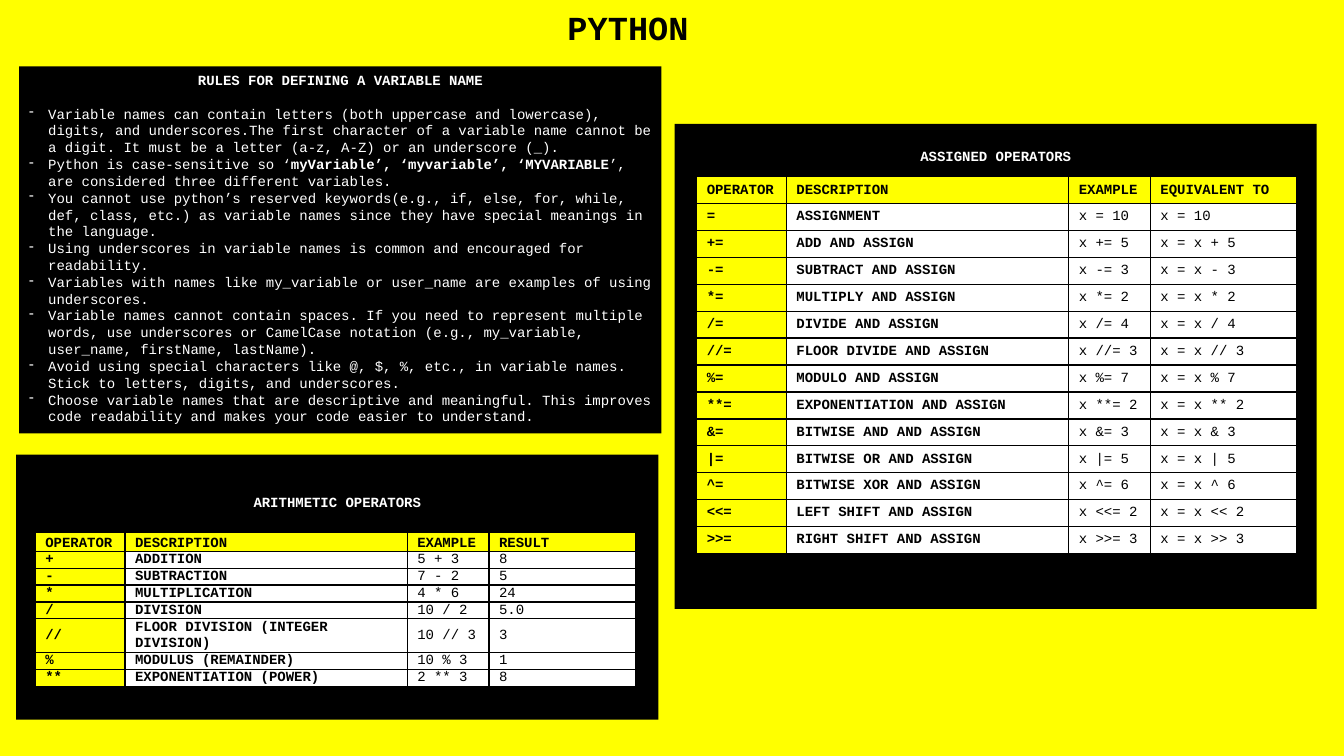
from dataclasses import dataclass

from lxml.etree import SubElement
from pptx import Presentation
from pptx.dml.color import RGBColor
from pptx.enum.shapes import MSO_SHAPE
from pptx.enum.text import MSO_ANCHOR, PP_ALIGN
from pptx.oxml.ns import qn
from pptx.shapes.autoshape import Shape
from pptx.slide import Slide
from pptx.table import _Cell as Cell
from pptx.text.text import _Paragraph as Paragraph
from pptx.util import Inches, Pt

YELLOW = RGBColor(0xFF, 0xFF, 0x00)
BLACK = RGBColor(0x00, 0x00, 0x00)
WHITE = RGBColor(0xFF, 0xFF, 0xFF)
FONT = "Courier New"
BODY_SIZE = 10
PANEL_WIDTH = 6.37
COLUMN_WIDTHS = (0.89, 2.8, 0.81, 1.45)
HEADER = ("OPERATOR", "DESCRIPTION", "EXAMPLE")


@dataclass(frozen=True)
class Panel:
    """A black box with a centred heading."""
    heading: str
    left: float
    top: float
    height: float
    inset_top: float


@dataclass(frozen=True)
class OperatorTable:
    """A table of operators, with its last column's title."""
    left: float
    top: float
    row_height: float
    margin: float
    last_title: str
    rows: tuple[tuple[str, str, str, str], ...]


RULES_PANEL = Panel("RULES FOR DEFINING A VARIABLE NAME", 0.19, 0.66, 3.64, 0.05)
ARITHMETIC_PANEL = Panel("ARITHMETIC OPERATORS", 0.16, 4.51, 2.63, 0.39)
ASSIGNED_PANEL = Panel("ASSIGNED OPERATORS", 6.69, 1.23, 4.81, 0.23)

RULES = (
    ("Variable names can contain letters (both uppercase and lowercase), digits, and "
     "underscores.The first character of a variable name cannot be a digit. It must be "
     "a letter (a-z, A-Z) or an underscore (_).",),
    ("Python is case-sensitive so ‘", "myVariable’, ‘myvariable’, ‘MYVARIABLE",
     "’, are considered three different variables."),
    ("You cannot use python’s reserved keywords(e.g., if, else, for, while, def, class, "
     "etc.) as variable names since they have special meanings in the language.",),
    ("Using underscores in variable names is common and encouraged for readability.",),
    ("Variables with names like my_variable or user_name are examples of using "
     "underscores.",),
    ("Variable names cannot contain spaces. If you need to represent multiple words, use "
     "underscores or CamelCase notation (e.g., my_variable, user_name, firstName, "
     "lastName).",),
    ("Avoid using special characters like @, $, %, etc., in variable names. Stick to "
     "letters, digits, and underscores.",),
    ("Choose variable names that are descriptive and meaningful. This improves code "
     "readability and makes your code easier to understand.",),
)

ARITHMETIC_TABLE = OperatorTable(0.35, 5.28, 0.16, 0, "RESULT", (
    ("+", "ADDITION", "5 + 3", "8"),
    ("-", "SUBTRACTION", "7 - 2", "5"),
    ("*", "MULTIPLICATION", "4 * 6", "24"),
    ("/", "DIVISION", "10 / 2", "5.0"),
    ("//", "FLOOR DIVISION (INTEGER DIVISION)", "10 // 3", "3"),
    ("%", "MODULUS (REMAINDER)", "10 % 3", "1"),
    ("**", "EXPONENTIATION (POWER)", "2 ** 3", "8"),
))

ASSIGNMENTS = (
    ("+", "ADD", 5), ("-", "SUBTRACT", 3), ("*", "MULTIPLY", 2), ("/", "DIVIDE", 4),
    ("//", "FLOOR DIVIDE", 3), ("%", "MODULO", 7), ("**", "EXPONENTIATION", 2),
    ("&", "BITWISE AND", 3), ("|", "BITWISE OR", 5), ("^", "BITWISE XOR", 6),
    ("<<", "LEFT SHIFT", 2), (">>", "RIGHT SHIFT", 3),
)
ASSIGNED_TABLE = OperatorTable(6.91, 1.75, 0.26, 0.05, "EQUIVALENT TO", (
    ("=", "ASSIGNMENT", "x = 10", "x = 10"),
    *((f"{sign}=", f"{name} AND ASSIGN", f"x {sign}= {value}", f"x = x {sign} {value}")
      for sign, name, value in ASSIGNMENTS),
))


def style_font(paragraph: Paragraph, color: RGBColor, bold: bool, size: int = BODY_SIZE) -> None:
    """Set the font of a whole paragraph."""
    font = paragraph.font
    font.name, font.size, font.bold = FONT, Pt(size), bold
    font.color.rgb = color


def add_title(slide: Slide) -> None:
    """Add the slide title."""
    box = slide.shapes.add_textbox(Inches(5.53), Inches(0.02), Inches(1.51), Inches(0.91))
    box.text_frame.word_wrap = True
    paragraph = box.text_frame.paragraphs[0]
    paragraph.text = "PYTHON"
    style_font(paragraph, BLACK, True, 24)


def add_panel(slide: Slide, panel: Panel) -> Shape:
    """Add a black panel with its heading."""
    shape = slide.shapes.add_shape(
        MSO_SHAPE.RECTANGLE, Inches(panel.left), Inches(panel.top),
        Inches(PANEL_WIDTH), Inches(panel.height))
    shape.shadow.inherit = False
    shape.fill.solid()
    shape.fill.fore_color.rgb = BLACK
    shape.line.fill.background()
    frame = shape.text_frame
    frame.word_wrap = True
    frame.vertical_anchor = MSO_ANCHOR.TOP
    frame.margin_top = Inches(panel.inset_top)
    paragraph = frame.paragraphs[0]
    paragraph.text = panel.heading
    paragraph.alignment = PP_ALIGN.CENTER
    style_font(paragraph, WHITE, True)
    return shape


def add_rules(shape: Shape) -> None:
    """List the naming rules below the panel heading."""
    frame = shape.text_frame
    frame.paragraphs[0].space_after = Pt(12)
    for rule in RULES:
        paragraph = frame.add_paragraph()
        paragraph.alignment = PP_ALIGN.LEFT
        properties = paragraph._p.get_or_add_pPr()
        properties.set("marL", str(Inches(0.19)))
        properties.set("indent", str(-Inches(0.19)))
        SubElement(properties, qn("a:buChar")).set("char", "-")
        style_font(paragraph, WHITE, False)
        for index, text in enumerate(rule):
            run = paragraph.add_run()
            run.text = text
            if index == 1:
                run.font.bold = True


def add_borders(cell: Cell) -> None:
    """Draw a thin black border on all sides of a cell."""
    properties = cell._tc.get_or_add_tcPr()
    for side in ("lnL", "lnR", "lnT", "lnB"):
        line = SubElement(properties, qn(f"a:{side}"), w=str(Pt(1)))
        fill = SubElement(line, qn("a:solidFill"))
        SubElement(fill, qn("a:srgbClr"), val=str(BLACK))


def add_operator_table(slide: Slide, content: OperatorTable) -> None:
    """Add a table of operators with a yellow first row and column."""
    rows = ((*HEADER, content.last_title), *content.rows)
    table = slide.shapes.add_table(
        len(rows), len(COLUMN_WIDTHS), Inches(content.left), Inches(content.top),
        Inches(sum(COLUMN_WIDTHS)), Inches(content.row_height * len(rows))).table
    table.horz_banding = False
    for column, width in zip(table.columns, COLUMN_WIDTHS):
        column.width = Inches(width)
    table.rows[0].height = Inches(max(content.row_height, 0.19))
    for row_index, row in enumerate(rows):
        for column_index, text in enumerate(row):
            cell = table.cell(row_index, column_index)
            is_header = row_index == 0
            add_borders(cell)
            cell.fill.solid()
            cell.fill.fore_color.rgb = YELLOW if is_header or column_index == 0 else WHITE
            cell.margin_top = cell.margin_bottom = Inches(content.margin)
            cell.vertical_anchor = MSO_ANCHOR.BOTTOM if is_header else MSO_ANCHOR.MIDDLE
            paragraph = cell.text_frame.paragraphs[0]
            paragraph.text = text
            style_font(paragraph, BLACK, is_header or column_index < 2)


presentation = Presentation()
presentation.slide_width, presentation.slide_height = Inches(13.33), Inches(7.5)
slide = presentation.slides.add_slide(presentation.slide_layouts[6])
slide.background.fill.solid()
slide.background.fill.fore_color.rgb = YELLOW
add_title(slide)
add_rules(add_panel(slide, RULES_PANEL))
add_panel(slide, ARITHMETIC_PANEL)
add_operator_table(slide, ARITHMETIC_TABLE)
add_panel(slide, ASSIGNED_PANEL)
add_operator_table(slide, ASSIGNED_TABLE)
presentation.save("out.pptx")
